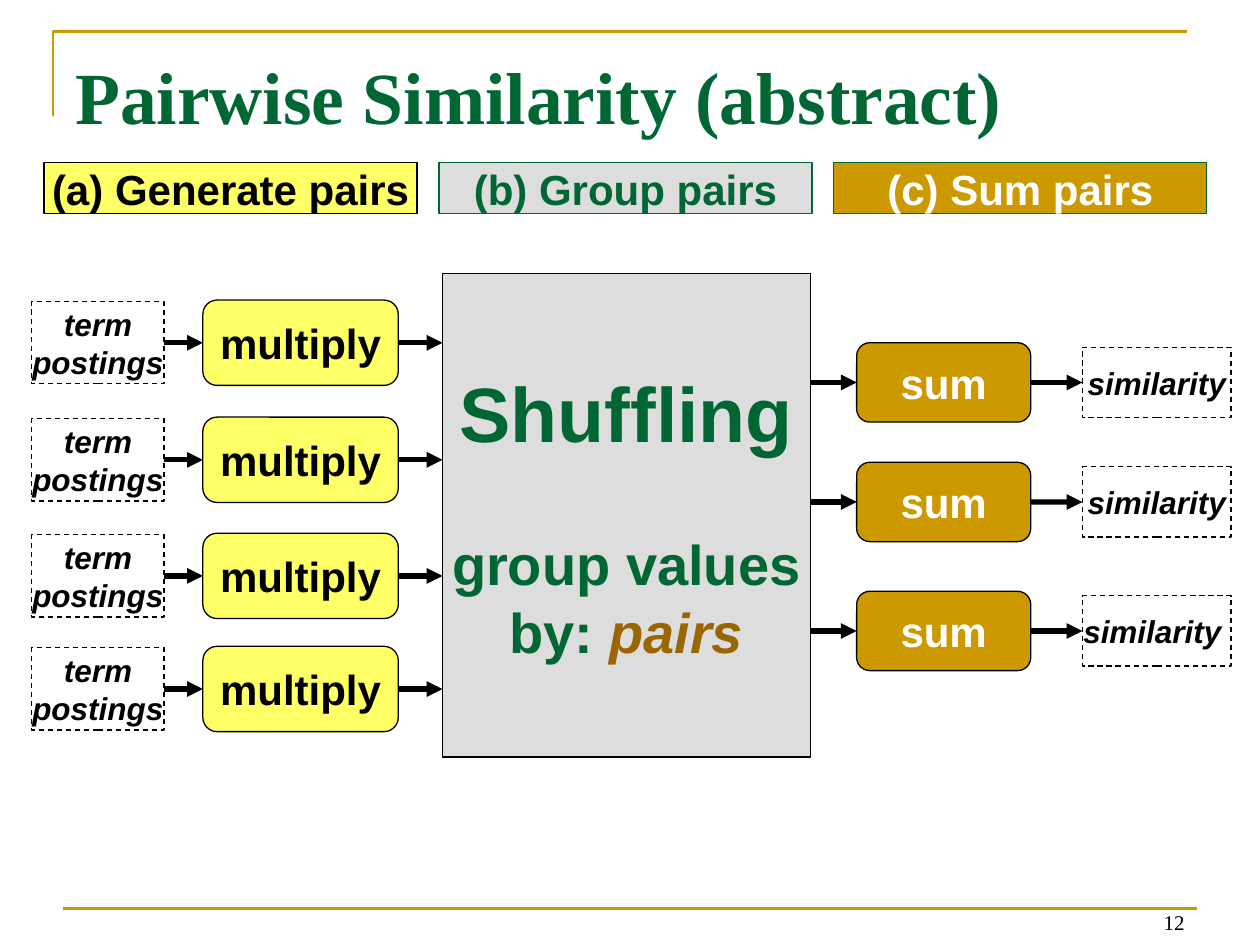
from lxml.etree import SubElement
from pptx import Presentation
from pptx.dml.color import RGBColor
from pptx.enum.dml import MSO_LINE
from pptx.enum.shapes import MSO_CONNECTOR, MSO_SHAPE
from pptx.enum.text import MSO_ANCHOR as Anchor, PP_ALIGN as Align
from pptx.oxml.ns import qn
from pptx.util import Cm, Pt

color = RGBColor.from_string
BLACK, WHITE, GREEN = "000000", "FFFFFF", "006633"
YELLOW, GRAY, GOLD, BROWN = "FFFF66", "DDDDDD", "CC9900", "996600"

presentation = Presentation()
presentation.slide_width, presentation.slide_height = Cm(25.4), Cm(19.05)
slide = presentation.slides.add_slide(presentation.slide_layouts[6])


def add_box(kind, bounds, paragraphs, fill=None, outline=BLACK, dash=None,
            align=Align.CENTER, anchor=Anchor.MIDDLE, margins=(0, 0, 0, 0)):
    lengths = [Cm(value) for value in bounds]
    if kind is None:
        shape = slide.shapes.add_textbox(*lengths)
    else:
        shape = slide.shapes.add_shape(kind, *lengths)
        shape.shadow.inherit = False
        shape.fill.solid()
        shape.fill.fore_color.rgb = color(fill)
        shape.line.color.rgb = color(outline)
        shape.line.width = Pt(0.75)
        shape.line.dash_style = dash
    frame = shape.text_frame
    frame.word_wrap = True
    frame.vertical_anchor = anchor
    for side, margin in zip(("left", "top", "right", "bottom"), margins):
        setattr(frame, f"margin_{side}", Cm(margin))
    for index, runs in enumerate(paragraphs):
        paragraph = frame.add_paragraph() if index else frame.paragraphs[0]
        paragraph.alignment = align
        for text, text_color, formats in runs:
            run = paragraph.add_run()
            run.text = text
            run.font.color.rgb = color(text_color)
            for name, value in formats.items():
                setattr(run.font, name, value)
    return shape


def add_line(start, end, line_color=BLACK, width=3, source=None, target=None, arrow=True):
    line = slide.shapes.add_connector(
        MSO_CONNECTOR.STRAIGHT, *[Cm(value) for value in (*start, *end)])
    line.line.color.rgb = color(line_color)
    line.line.width = Pt(width)
    if arrow:
        SubElement(line.line._get_or_add_ln(), qn("a:tailEnd"), type="triangle")
    SubElement(line._element.spPr, qn("a:effectLst"))
    if source is not None:
        line.begin_connect(source, 3)
    if target is not None:
        line.end_connect(target, 1)


label = {"name": "Arial", "size": Pt(24), "bold": True}
data = {**label, "size": Pt(18), "italic": True}
heading = {**label, "size": Pt(44)}
grouping = {**label, "size": Pt(32)}
title = {"name": "Times New Roman", "size": Pt(42), "bold": True}
number = {"name": "Times New Roman", "size": Pt(12)}

builder = slide.shapes.build_freeform(Cm(1.07), Cm(2.34))
builder.add_line_segments([(Cm(1.07), Cm(0.64)), (Cm(23.93), Cm(0.64))], close=False)
corner = builder.convert_to_shape()
corner.shadow.inherit = False
corner.fill.background()
corner.line.color.rgb = color(GOLD)
corner.line.width = Pt(1.5)
add_line((1.27, 18.31), (24.13, 18.31), GOLD, 1.5, arrow=False)

add_box(None, (1.27, 0.76, 22.86, 3.18), [[("Pairwise Similarity (abstract)", GREEN, title)]],
        align=Align.LEFT, anchor=Anchor.TOP, margins=(0.25, 0.27, 0.25, 0.13))

headers = [("(a) Generate pairs", BLACK, YELLOW, BLACK),
           ("(b) Group pairs", GREEN, GRAY, GREEN),
           ("(c) Sum pairs", WHITE, GOLD, GREEN)]
for column, (text, text_color, fill, outline) in enumerate(headers):
    add_box(MSO_SHAPE.RECTANGLE, (0.89 + 7.96 * column, 3.28, 7.52, 1.03),
            [[(text, text_color, label)]], fill, outline)

shuffle_left, shuffle_width = 8.92, 7.42
shuffle_right = shuffle_left + shuffle_width

for middle in (6.91, 9.27, 11.61, 13.89):
    multiply = add_box(MSO_SHAPE.ROUNDED_RECTANGLE, (4.09, middle - 0.86, 3.94, 1.72),
                       [[("multiply", BLACK, label)]], YELLOW)
    postings = add_box(MSO_SHAPE.RECTANGLE, (0.64, middle - 0.83, 2.67, 1.66),
                       [[("term postings", BLACK, data)]], WHITE, dash=MSO_LINE.DASH,
                       margins=(0, 0.13, 0, 0.13))
    add_line((3.31, middle), (4.09, middle), source=postings, target=multiply)
    add_line((8.03, middle), (shuffle_left, middle), source=multiply)

for middle, text in ((7.71, "similarity"), (10.12, "similarity"), (12.72, "similarity ")):
    total = add_box(MSO_SHAPE.ROUNDED_RECTANGLE, (17.27, middle - 0.8, 3.51, 1.6),
                    [[("sum", WHITE, label)]], GOLD)
    similarity = add_box(MSO_SHAPE.RECTANGLE, (21.82, middle - 0.71, 3, 1.42),
                         [[(text, BLACK, data)]], WHITE, dash=MSO_LINE.DASH,
                         margins=(0, 0.13, 0, 0.13))
    add_line((shuffle_right, middle), (17.27, middle), target=total)
    add_line((20.78, middle), (21.82, middle), source=total, target=similarity)

shuffle = add_box(MSO_SHAPE.RECTANGLE, (shuffle_left, 5.51, shuffle_width, 9.75),
                  [[("Shuffling", GREEN, heading)],
                   [("group values by: ", GREEN, grouping),
                    ("pairs", BROWN, {**grouping, "italic": True})]], GRAY)
shuffle.text_frame.paragraphs[1].space_before = Pt(41)

add_box(None, (18.21, 17.7, 5.92, 1.27), [[("12", BLACK, number)]],
        align=Align.RIGHT, anchor=Anchor.BOTTOM, margins=(0.25, 0.13, 0.25, 0.13))

presentation.save("out.pptx")
